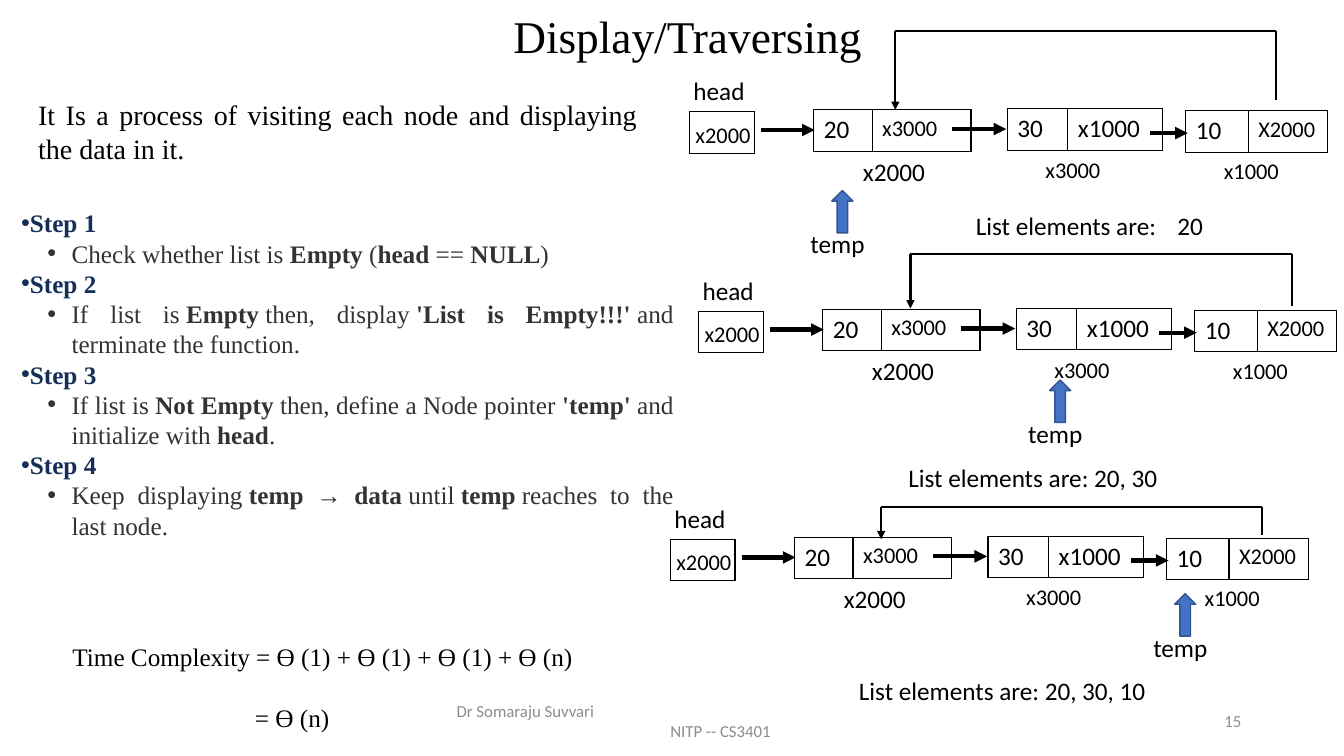
"""Build the slide on displaying a circular linked list."""
from pptx import Presentation
from pptx.dml.color import RGBColor
from pptx.enum.shapes import MSO_CONNECTOR, MSO_SHAPE
from pptx.enum.text import MSO_ANCHOR, MSO_AUTO_SIZE, PP_ALIGN
from pptx.oxml.ns import qn
from pptx.util import Inches, Pt
from lxml import etree

STRAIGHT = MSO_CONNECTOR.STRAIGHT
UP_ARROW = MSO_SHAPE.UP_ARROW
LEFT, CENTER, RIGHT, JUSTIFY = PP_ALIGN.LEFT, PP_ALIGN.CENTER, PP_ALIGN.RIGHT, PP_ALIGN.JUSTIFY
TOP, MIDDLE = MSO_ANCHOR.TOP, MSO_ANCHOR.MIDDLE
NO_AUTOFIT = MSO_AUTO_SIZE.NONE
SERIF, SANS = "Times New Roman", "Calibri"
BLACK, NAVY, DARK, GRAY = "000000", "162F59", "333333", "8C8C8C"
BLUE, BLUE_EDGE = "4472C4", "325491"
HARD_SPACE = chr(160)

TITLE = "Display/Traversing"
INTRO = "It Is a process of visiting each node and displaying the data in it."

# Asterisks enclose bold words and a tilde stands for a non-breaking space.
STEPS = [
    ("Step 1", "Check whether list is~*Empty*~(*head*~==~*NULL*)"),
    ("Step 2", "If list is~*Empty*~then, display~*'List is Empty!!!'*~and terminate the function."),
    ("Step 3", "If list is~*Not Empty*~then, define a Node pointer~*'temp'*~and initialize with~*head*."),
    ("Step 4", "Keep displaying~*temp → data*~until~*temp*~reaches to the last node."),
]
COMPLEXITY = ("Time Complexity = Ɵ (1) + Ɵ (1) + Ɵ (1) + Ɵ (n)", "= Ɵ (n)")
FOOTER = ("Dr Somaraju Suvvari", "NITP -- CS3401")
PAGE_NUMBER = "15"

NODES = [
    (0, 0, (0.64,), ()),
    (1.23, -0.02, (0.58, 0.98), (("20", 18), ("x3000", 16))),
    (3.15, -0.03, (0.6, 0.94), (("30", 18), ("x1000", 18))),
    (4.92, -0.01, (0.62, 0.79), (("10", 18), ("X2000", 16))),
]
LABELS = [
    (-0.06, -0.41, 0.8, "head", 18),
    (-0.04, 0.04, 0.8, "x2000", 16),
    (1.62, 0.39, 1.22, "x2000", 18),
    (3.43, 0.39, 0.8, "x3000", 16),
    (5.2, 0.4, 0.8, "x1000", 16),
]
NEXT_ARROWS = [(0.71, 1.24, 0.18), (2.6, 3.14, 0.17), (4.57, 4.94, 0.21)]
LOOP_WIDTH = 3.78
STAGES = [
    dict(head=(6.84, 1.11), loop=(12.66, 0.31, 0.99, 1.09), temp=(8.25, 1.89),
         output=(9.58, 2.04, 3.26), shown="List elements are:\t20"),
    dict(head=(6.93, 3.09), loop=(12.81, 2.52, 3.04, 3.06), temp=(10.41, 3.77),
         output=(8.91, 4.54, 2.82), shown="List elements are: 20, 30"),
    dict(head=(6.65, 5.35), loop=(12.52, 5.03, 5.31, 5.35), temp=(11.65, 5.89),
         output=(8.42, 6.65, 3.45), shown="List elements are: 20, 30, 10"),
]


def color(value):
    return RGBColor.from_string(value)


def add_span(para, words, size, font=SANS, tint=BLACK, bold=False):
    span = para.add_run()
    span.text = words
    span.font.size, span.font.name, span.font.bold = Pt(size), font, bold
    span.font.color.rgb = color(tint)


def place(box, left, top, width, height):
    box.left, box.top = Inches(left), Inches(top)
    box.width, box.height = Inches(width), Inches(height)


def add_text(page, left, top, width, height, lines, size, font=SANS,
             tint=BLACK, align=LEFT, anchor=TOP):
    box = page.shapes.add_textbox(Inches(left), Inches(top), Inches(width), Inches(height))
    frame = box.text_frame
    frame.word_wrap = True
    frame.vertical_anchor = anchor
    for index, words in enumerate(lines):
        para = frame.add_paragraph() if index else frame.paragraphs[0]
        para.alignment = align
        add_span(para, words, size, font, tint)
    return frame


def indent(para, margin, first=0.0):
    properties = para._p.get_or_add_pPr()
    properties.set("marL", str(Inches(margin)))
    properties.set("indent", str(Inches(first)))
    return properties


def add_line(page, start, end, weight, arrow=False):
    line = page.shapes.add_connector(STRAIGHT, *(Inches(v) for v in (*start, *end)))
    line.line.width = Pt(weight)
    line.line.color.rgb = color(BLACK)
    properties = line.element.spPr
    if arrow:
        etree.SubElement(properties.find(qn("a:ln")), qn("a:tailEnd"), type="triangle")
    etree.SubElement(properties, qn("a:effectLst"))


def border(cell):
    properties = cell._tc.get_or_add_tcPr()
    for side in ("a:lnL", "a:lnR", "a:lnT", "a:lnB"):
        edge = etree.SubElement(properties, qn(side), w=str(Pt(1)))
        fill = etree.SubElement(edge, qn("a:solidFill"))
        etree.SubElement(fill, qn("a:srgbClr"), val=BLACK)
    cell.fill.background()


def add_node(page, left, top, widths, entries):
    frame = page.shapes.add_table(1, len(widths), Inches(left), Inches(top),
                                  Inches(sum(widths)), Inches(0.41))
    table = frame.table
    table.first_row = table.horz_banding = False
    cells = list(table.rows[0].cells)
    for column, cell, width in zip(table.columns, cells, widths):
        column.width = Inches(width)
        border(cell)
    for cell, (words, size) in zip(cells, entries):
        add_span(cell.text_frame.paragraphs[0], words, size)


def add_steps(body):
    place(body, 0.11, 2.01, 6.67, 3.43)
    frame = body.text_frame
    frame.auto_size, frame.vertical_anchor = NO_AUTOFIT, TOP
    rows = [(level, words) for step in STEPS for level, words in enumerate(step)]
    for index, (level, words) in enumerate(rows):
        para = frame.add_paragraph() if index else frame.paragraphs[0]
        para.level, para.alignment = level, JUSTIFY
        para.space_before = para.space_after = Pt(0)
        para.line_spacing = Pt(21.6)
        properties = indent(para, 0.5 * level, -0.24 * level)
        etree.SubElement(properties, qn("a:buFont"), typeface="Arial")
        etree.SubElement(properties, qn("a:buChar"), char="•")
        for part, piece in enumerate(words.replace("~", HARD_SPACE).split("*")):
            if piece:
                add_span(para, piece, 18, SERIF, DARK if level else NAVY, part % 2 == 1 or not level)


def add_stage(page, stage):
    x, y = stage["head"]
    for dx, dy, widths, entries in NODES:
        add_node(page, x + dx, y + dy, widths, entries)
    for dx, dy, width, words, size in LABELS:
        add_text(page, x + dx, y + dy, width, 0.4, [words], size)
    for start, end, dy in NEXT_ARROWS:
        add_line(page, (x + start, y + dy), (x + end, y + dy), 3, True)

    right, top, tail_bottom, arrow_bottom = stage["loop"]
    left = right - LOOP_WIDTH
    add_line(page, (right, tail_bottom), (right, top), 1.5)
    add_line(page, (right, top), (left, top), 1.5)
    add_line(page, (left, top), (left, arrow_bottom), 1.5, True)

    x, y = stage["temp"]
    pointer = page.shapes.add_shape(UP_ARROW, Inches(x), Inches(y), Inches(0.21), Inches(0.42))
    pointer.shadow.inherit = False
    pointer.fill.solid()
    pointer.fill.fore_color.rgb = color(BLUE)
    pointer.line.color.rgb = color(BLUE_EDGE)
    pointer.line.width = Pt(1)
    add_text(page, x - 0.31, y + 0.33, 1.04, 0.4, ["temp"], 18)
    add_text(page, *stage["output"], 0.4, [stage["shown"]], 18)


def main():
    deck = Presentation()
    deck.slide_width, deck.slide_height = Inches(13.33), Inches(7.5)
    page = deck.slides.add_slide(deck.slide_layouts[1])
    title, body = page.placeholders
    place(title, 0.71, 0.16, 12.22, 0.46)
    title.text_frame.auto_size = NO_AUTOFIT
    title.text_frame.vertical_anchor = MIDDLE
    heading = title.text_frame.paragraphs[0]
    heading.alignment, heading.line_spacing = CENTER, 0.9
    add_span(heading, TITLE, 32.4, SERIF)
    add_text(page, 0.28, 0.92, 6.14, 0.77, [INTRO], 20, SERIF, align=JUSTIFY)
    add_steps(body)
    for stage in STAGES:
        add_stage(page, stage)
    result = add_text(page, 0.62, 6.31, 5.28, 0.71, COMPLEXITY, 18, SERIF).paragraphs[1]
    indent(result, 1.81)
    result.space_before = Pt(22)
    footer = add_text(page, 4.43, 6.95, 4.5, 0.4, FOOTER, 12, tint=GRAY, anchor=MIDDLE)
    indent(footer.paragraphs[1], 2.12)
    add_text(page, 9.41, 6.95, 3, 0.4, [PAGE_NUMBER], 12, tint=GRAY, align=RIGHT, anchor=MIDDLE)
    deck.save("out.pptx")


if __name__ == "__main__":
    main()
